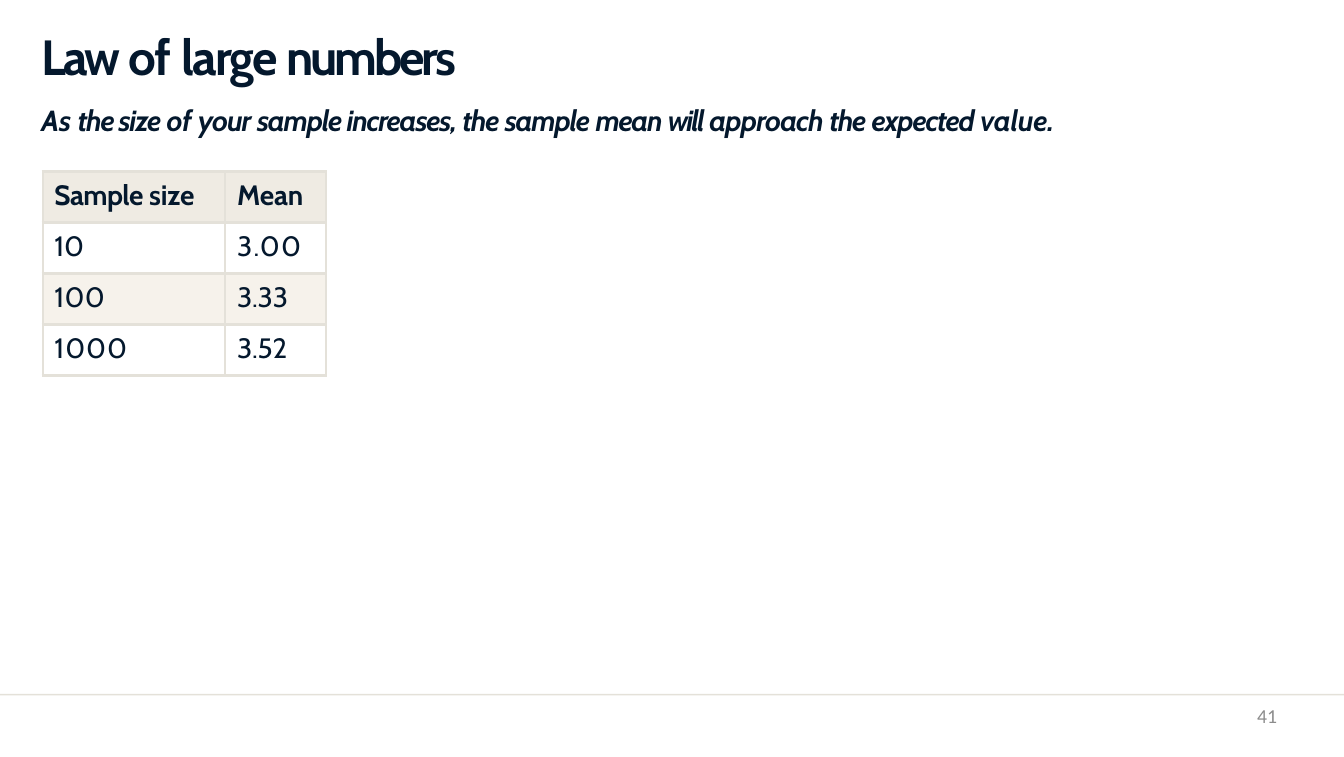
from lxml import etree
from pptx import Presentation
from pptx.dml.color import RGBColor
from pptx.enum import shapes, text
from pptx.oxml import ns
from pptx.util import Cm, Pt

NAVY = RGBColor(0x04, 0x18, 0x2D)
GRAY = RGBColor(0x8C, 0x8C, 0x8C)
EDGE = RGBColor(0xE4, 0xE1, 0xD9)
HEAD = RGBColor(0xEF, 0xEB, 0xE3)
BAND = RGBColor(0xF6, 0xF2, 0xEB)
WHITE = RGBColor(0xFF, 0xFF, 0xFF)

WIDE, HIGH = 43.2, 24.33
TITLE = [("Law ", -2.6), ("of ", -0.9), ("large ", -1.9), ("numbers", -2.9)]
CLAIM = [
    ("As ", 0), ("the size ", -1.2), ("of ", -0.2), ("your ", -1),
    ("sample increases, ", -1.1), ("the ", -1.2), ("sample ", -1.1),
    ("mean ", -1.2), ("will ", -1.8), ("approach ", -0.8), ("the ", -1.2),
    ("expected ", -1.1), ("value.", -0.2),
]
PAGE = [("41", 0)]
ROWS = [
    ([("Sample ", -0.6), ("size", -0.2)], [("Mean", -0.2)]),
    ([("10", -0.2)], [("3.00", 1.1)]),
    ([("100", 0.2)], [("3.33", -0.2)]),
    ([("1000", 0.8)], [("3.52", -0.2)]),
]
FILLS = [HEAD, WHITE, BAND, WHITE]
COLS = [5.87, 3.25]
ROW = 1.64


def write(frame, parts, size, color=NAVY, face="Cabin", bold=False, italic=False):
    line = frame.paragraphs[0]
    for words, gap in parts:
        run = line.add_run()
        run.text = words
        font = run.font
        font.name, font.size = face, Pt(size)
        font.bold, font.italic = bold, italic
        font.color.rgb = color
        if gap:
            run._r.get_or_add_rPr().set("spc", str(round(gap * 100)))
    return line


def place(shape, left, top, width, height, inset=0):
    shape.left, shape.top = Cm(left), Cm(top)
    shape.width, shape.height = Cm(width), Cm(height)
    frame = shape.text_frame
    frame.word_wrap = True
    frame.auto_size = text.MSO_AUTO_SIZE.NONE
    frame.vertical_anchor = text.MSO_ANCHOR.TOP
    frame.margin_left = frame.margin_right = frame.margin_bottom = 0
    frame.margin_top = Cm(inset)
    return frame


def border(cell):
    props = cell._tc.get_or_add_tcPr()
    for side in ("a:lnL", "a:lnR", "a:lnT", "a:lnB"):
        line = etree.SubElement(props, ns.qn(side), w=str(Pt(2.25)))
        fill = etree.SubElement(line, ns.qn("a:solidFill"))
        etree.SubElement(fill, ns.qn("a:srgbClr"), val=str(EDGE))


def main():
    deck = Presentation()
    deck.slide_width, deck.slide_height = Cm(WIDE), Cm(HIGH)
    slide = deck.slides.add_slide(deck.slide_layouts[5])
    items = slide.shapes

    rule = items.add_shape(
        shapes.MSO_SHAPE.RECTANGLE, 0, Cm(22.3), Cm(WIDE), Cm(0.05))
    rule.shadow.inherit = False
    rule.fill.solid()
    rule.fill.fore_color.rgb = EDGE
    rule.line.fill.background()

    frame = place(items.title, 1.33, 0.76, 34.62, 1.98, 0.09)
    line = write(frame, TITLE, 45, bold=True)
    line.alignment = text.PP_ALIGN.LEFT

    grid = items.add_table(
        len(ROWS), len(COLS), Cm(1.37), Cm(5.51),
        Cm(sum(COLS)), Cm(ROW * len(ROWS))).table
    for col, width in zip(grid.columns, COLS):
        col.width = Cm(width)
    for r, (row, fill) in enumerate(zip(ROWS, FILLS)):
        grid.rows[r].height = Cm(ROW)
        for c, parts in enumerate(row):
            cell = grid.cell(r, c)
            cell.margin_left, cell.margin_top = Cm(0.38), Cm(0.23)
            cell.margin_right = cell.margin_bottom = 0
            border(cell)
            cell.fill.solid()
            cell.fill.fore_color.rgb = fill
            write(cell.text_frame, parts, 25.5, bold=r == 0)

    claim = items.add_textbox(0, 0, 0, 0)
    frame = place(claim, 1.33, 3.23, 38.74, 1.19, 0.07)
    write(frame, CLAIM, 26.5, bold=True, italic=True)

    page = items.add_textbox(0, 0, 0, 0)
    frame = place(page, 31.12, 22.63, 9.93, 1.22)
    line = write(frame, PAGE, 18, GRAY, "Calibri")
    line.alignment = text.PP_ALIGN.RIGHT

    deck.save("out.pptx")


if __name__ == "__main__":
    main()
